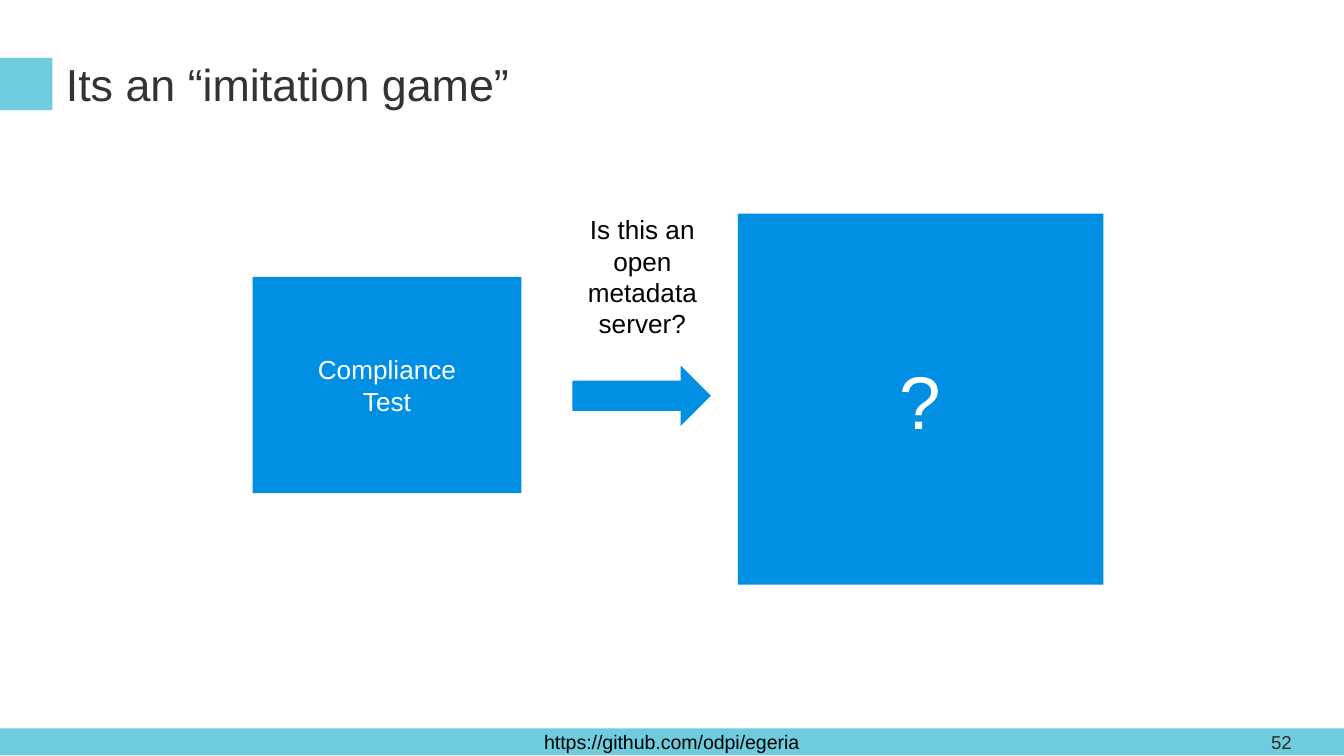
import pptx
import pptx.util
import pptx.dml.color
import pptx.enum.shapes
import pptx.enum.text

Inches = pptx.util.Inches
SHAPE = pptx.enum.shapes.MSO_SHAPE
ALIGN = pptx.enum.text.PP_ALIGN
ANCHOR = pptx.enum.text.MSO_ANCHOR

TEAL = "6DCCDE"
BLUE = "008FE3"
WHITE = "FFFFFF"
BLACK = "000000"


def paint(color, value):
    color.rgb = pptx.dml.color.RGBColor.from_string(value)


def write(shape, text, size=14, color=BLACK, align=ALIGN.CENTER,
          anchor=ANCHOR.MIDDLE, inset=0.05):
    """Fill a shape with text, one paragraph per line; inset is top and bottom."""
    frame = shape.text_frame
    frame.word_wrap = True
    frame.auto_size = pptx.enum.text.MSO_AUTO_SIZE.NONE
    frame.vertical_anchor = anchor
    frame.margin_left = frame.margin_right = Inches(0.1)
    frame.margin_top = frame.margin_bottom = Inches(inset)
    frame.text = text
    for para in frame.paragraphs:
        para.alignment = align
        para.font.name = "Arial"
        para.font.size = pptx.util.Pt(size)
        paint(para.font.color, color)


def add_block(slide, box, fill, kind=SHAPE.RECTANGLE):
    shape = slide.shapes.add_shape(kind, *map(Inches, box))
    shape.shadow.inherit = False
    shape.fill.solid()
    paint(shape.fill.fore_color, fill)
    shape.line.fill.background()
    return shape


def add_label(slide, box, text, **style):
    write(slide.shapes.add_textbox(*map(Inches, box)), text, **style)


def set_title(slide, box, text):
    title = slide.shapes.title
    title.left, title.top, title.width, title.height = map(Inches, box)
    write(title, text, size=24, color="333333", align=ALIGN.LEFT,
          anchor=ANCHOR.TOP, inset=0.1)


def main():
    deck = pptx.Presentation()
    deck.slide_width = Inches(10)
    deck.slide_height = deck.slide_width * 9 // 16
    slide = deck.slides.add_slide(deck.slide_layouts[5])

    footer = add_block(slide, (0, 5.42, 10, 0.2), TEAL)
    write(footer, "https://github.com/odpi/egeria", size=10.5)
    add_block(slide, (0, 0.43, 0.39, 0.39), TEAL)
    set_title(slide, (0.39, 0.32, 9.27, 0.62), "Its an “imitation game”")
    add_label(slide, (9.36, 5.42, 0.6, 0.2), "52", size=10,
              color="2C2C2C", align=ALIGN.LEFT, inset=0.1)

    server = add_block(slide, (5.49, 1.59, 2.72, 2.76), BLUE)
    write(server, "?", size=40, color=WHITE)
    test = add_block(slide, (1.88, 2.06, 2, 1.61), BLUE)
    write(test, "Compliance\nTest", color=WHITE)
    add_block(slide, (4.26, 2.72, 1.03, 0.45), BLUE, SHAPE.RIGHT_ARROW)
    add_label(slide, (4.08, 1.54, 1.4, 1.04),
              "Is this an open metadata server?", anchor=ANCHOR.TOP)

    deck.save("out.pptx")


if __name__ == "__main__":
    main()
